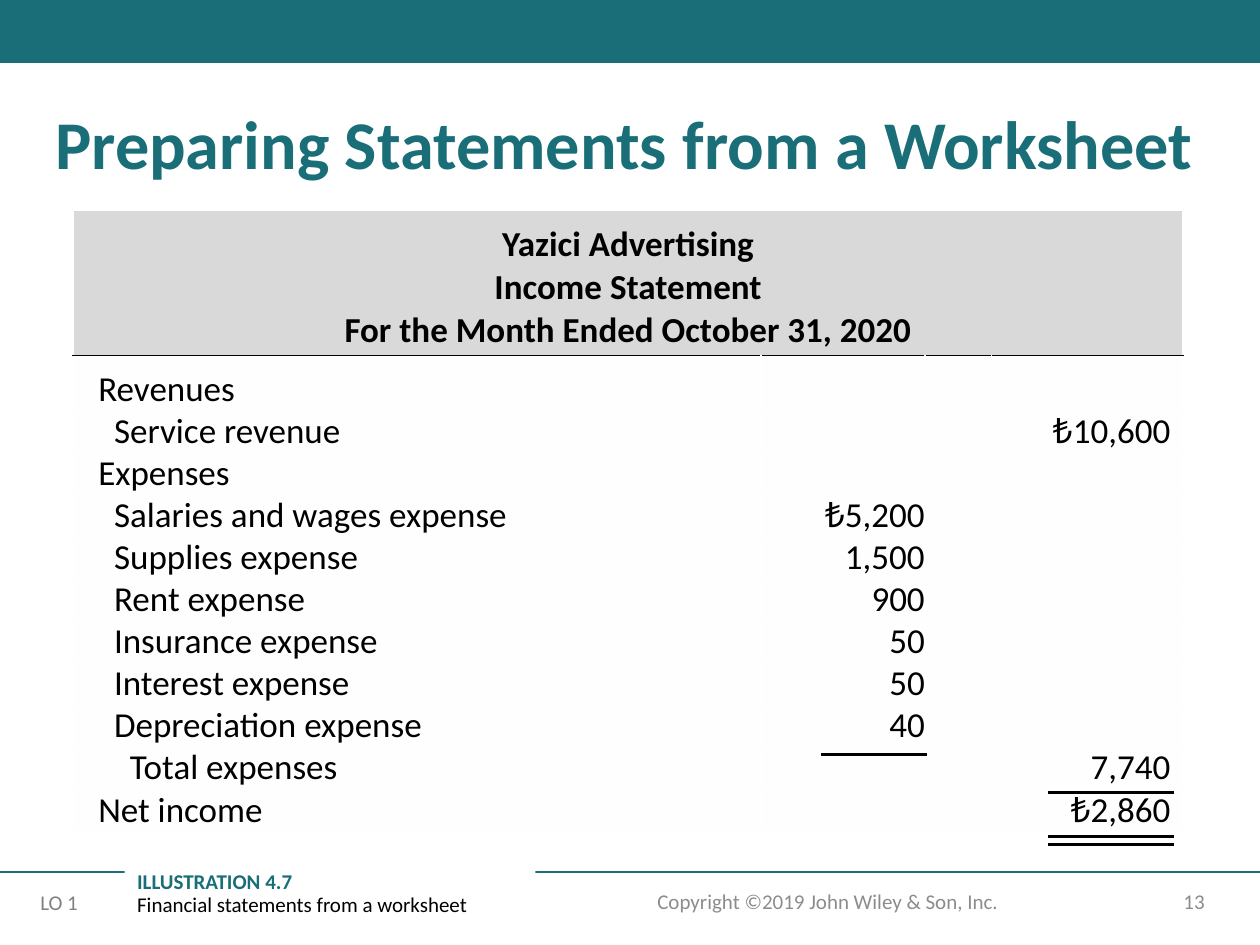
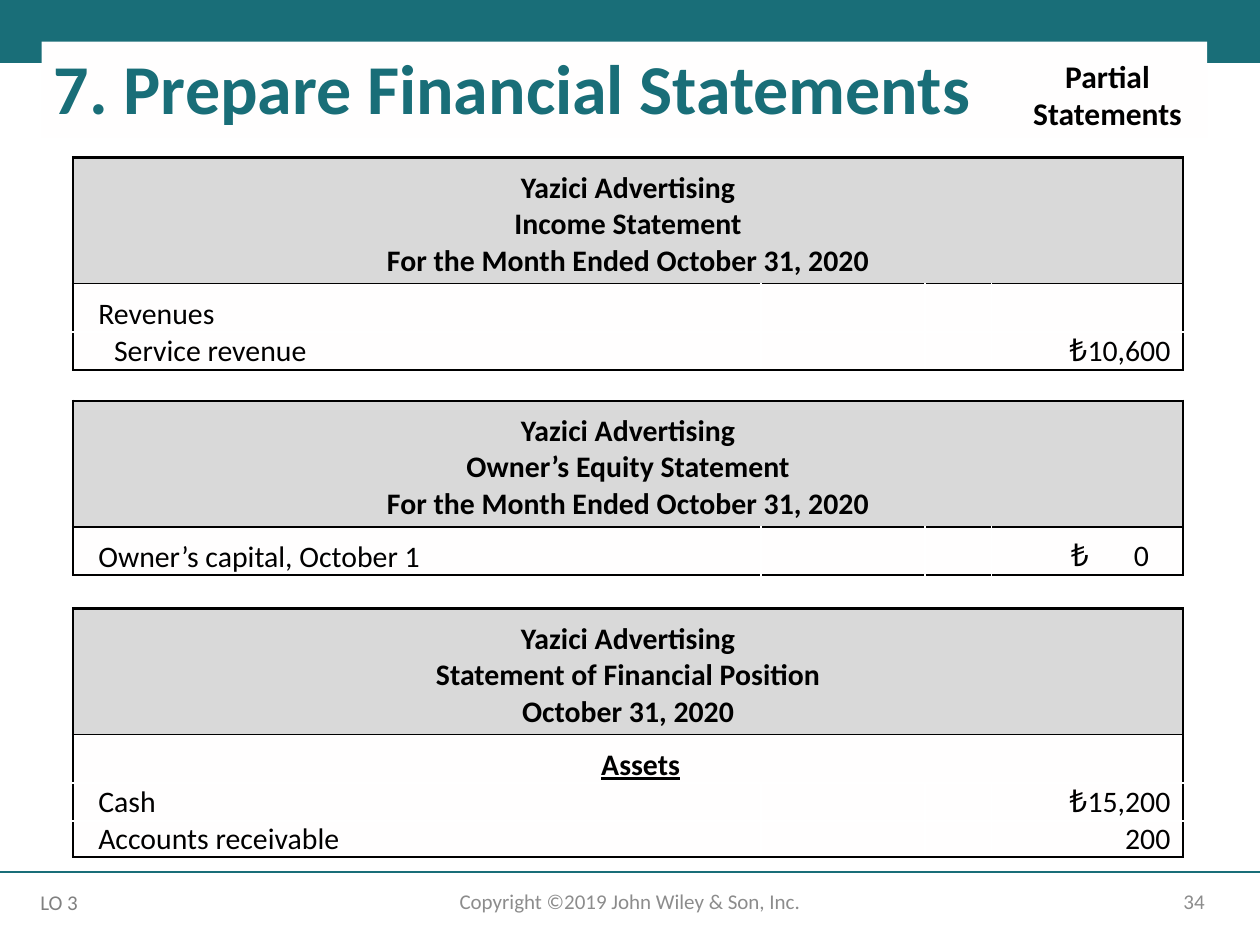
"""Build two slides of financial statements that share a band, a title style and a footer."""
from dataclasses import dataclass
from typing import Any

from lxml.etree import SubElement
from pptx import Presentation
from pptx.dml.color import RGBColor
from pptx.enum.shapes import MSO_CONNECTOR, MSO_SHAPE
from pptx.enum.text import MSO_ANCHOR, PP_ALIGN
from pptx.oxml.ns import qn
from pptx.util import Inches, Pt

FONT = "Calibri"
INK = {"teal": "196E78", "black": "000000", "white": "FFFFFF", "paper": "FFFEFE",
       "head": "D9D9D9", "foot": "8C8C8C", "goal": "808080"}
COLS = (5.46, 1.3, 0.53, 1.52)
LAST = len(COLS) - 1
LEFT, RIGHT, MID = PP_ALIGN.LEFT, PP_ALIGN.RIGHT, PP_ALIGN.CENTER
MONTH = "For the Month Ended October 31, 2020"


@dataclass
class Row:
    """One line of a statement."""
    label: str
    cost: str = ""
    total: str = ""
    step: int = 0
    group: bool = False


@dataclass
class Report:
    """A statement with its three-line head, its place and its look."""
    name: str
    date: str
    rows: list[Row]
    top: float
    height: float
    size: float = 17
    sign: float = 18
    boxed: bool = True


@dataclass
class Rule:
    """A horizontal total line."""
    left: float
    right: float
    top: float


INCOME = Report("Income Statement", MONTH, [
    Row("Revenues"),
    Row("Service revenue", total="₺10,600", step=1),
    Row("Expenses"),
    Row("Salaries and wages expense", "₺5,200", step=1),
    Row("Supplies expense", "1,500", step=1),
    Row("Rent expense", "900", step=1),
    Row("Insurance expense", "50", step=1),
    Row("Interest expense", "50", step=1),
    Row("Depreciation expense", "40", step=1),
    Row("Total expenses", total="7,740", step=2),
    Row("Net income", total="₺2,860"),
], 1.67, 4.96, size=20, sign=20, boxed=False)

PARTS = [
    Report("Income Statement", MONTH, [
        Row("Revenues"),
        Row("Service revenue", total="₺10,600", step=1),
    ], 1.25, 1.69),
    Report("Owner’s Equity Statement", MONTH, [
        Row("Owner’s capital, October 1", total="₺\t0"),
    ], 3.18, 1.38),
    Report("Statement of Financial Position", "October 31, 2020", [
        Row("Assets", group=True),
        Row("Cash", total="₺15,200"),
        Row("Accounts receivable", total="200"),
    ], 4.83, 1.98),
]

SUMS = [Rule(8.32, 9.32, 6.29), Rule(8.32, 9.32, 6.64),
        Rule(8.32, 9.32, 6.7), Rule(6.52, 7.36, 5.99)]


def tint(name: str) -> RGBColor:
    """Look up a named colour."""
    return RGBColor.from_string(INK[name])


def put(para: Any, text: str, size: float = 12, ink: str = "black", bold: bool = False,
        under: bool = False, align: Any = LEFT, indent: float = 0, tab: float = 0,
        space: float = 1, sign: float = 0) -> None:
    """Write formatted text into a paragraph."""
    props = para._p.get_or_add_pPr()
    props.set("marL", str(Inches(indent)))
    props.set("indent", "0")
    para.alignment = align
    para.line_spacing = space
    if tab:
        stops = SubElement(props, qn("a:tabLst"))
        SubElement(stops, qn("a:tab"), pos=str(Inches(tab)), algn="r")
    for part in filter(None, text.partition("₺")):
        run = para.add_run()
        run.text = part
        font = run.font
        font.name, font.bold, font.underline = FONT, bold, under
        font.size = Pt(sign if sign and part == "₺" else size)
        font.color.rgb = tint(ink)


def box(slide: Any, at: tuple, fill: str = "") -> Any:
    """Add a text box or a filled rectangle and return its text frame."""
    place = [Inches(n) for n in at]
    if fill:
        shape = slide.shapes.add_shape(MSO_SHAPE.RECTANGLE, *place)
        shape.shadow.inherit = False
        shape.fill.solid()
        shape.fill.fore_color.rgb = tint(fill)
        shape.line.fill.background()
    else:
        shape = slide.shapes.add_textbox(*place)
    frame = shape.text_frame
    frame.word_wrap = True
    frame.vertical_anchor = MSO_ANCHOR.TOP
    return frame


def rule(slide: Any, line: Rule, ink: str = "black", width: float = 1.5) -> None:
    """Draw a horizontal line."""
    top = Inches(line.top)
    link = slide.shapes.add_connector(
        MSO_CONNECTOR.STRAIGHT, Inches(line.left), top, Inches(line.right), top)
    link.line.color.rgb = tint(ink)
    link.line.width = Pt(width)
    SubElement(link._element.spPr, qn("a:effectLst"))


def edge(cell: Any, side: str, ink: str, width: float) -> None:
    """Add one border to a cell."""
    line = SubElement(cell._tc.get_or_add_tcPr(), qn(f"a:ln{side}"), w=str(Pt(width)))
    fill = SubElement(line, qn("a:solidFill"))
    SubElement(fill, qn("a:srgbClr"), val=INK[ink])


def style(cell: Any, row: int, col: int, end: int, report: Report) -> None:
    """Set the borders, fill, margins and empty text size of a cell."""
    wide = cell.is_merge_origin or cell.is_spanned
    outer = {"L": col == 0, "R": wide or col == LAST, "T": row == 0, "B": row == end}
    under = {"T": row == 1, "B": row == 0}
    for side, out in outer.items():
        if under.get(side):
            edge(cell, side, "black", 1)
        elif out and report.boxed:
            edge(cell, side, "black", 1.5)
        else:
            edge(cell, side, "white", 1)
    cell.fill.solid()
    cell.fill.fore_color.rgb = tint("paper" if row else "head")
    cell.vertical_anchor = MSO_ANCHOR.BOTTOM
    cell.margin_left = Inches(0.2 if row and col == 0 else 0)
    cell.margin_right = Inches(0.1 if row and col == LAST else 0)
    cell.margin_top = Inches(0.1 if row == 0 or (row == 1 and col == 0) else 0)
    cell.margin_bottom = Inches(0 if row else 0.05)
    blank = cell.text_frame.paragraphs[0]._p.get_or_add_endParaRPr()
    blank.set("sz", str(int(report.size * 100)))


def sheet(slide: Any, report: Report) -> None:
    """Draw a statement as a table."""
    count = len(report.rows) + 1
    shape = slide.shapes.add_table(count, len(COLS), Inches(0.58), Inches(report.top),
                                   Inches(sum(COLS)), Inches(report.height))
    grid = shape.table
    grid.first_row = grid.horz_banding = False
    for col, width in zip(grid.columns, COLS):
        col.width = Inches(width)
    for row in grid.rows:
        row.height = Inches(0.2)
    shape.height = Inches(report.height)
    wide = [0] + [n for n, row in enumerate(report.rows, 1) if row.group]
    for n in wide:
        grid.cell(n, 0).merge(grid.cell(n, LAST))
    for n in range(count):
        for col in range(len(COLS)):
            style(grid.cell(n, col), n, col, count - 1, report)

    size = report.size
    frame = grid.cell(0, 0).text_frame
    for n, text in enumerate(("Yazici Advertising", report.name, report.date)):
        para = frame.add_paragraph() if n else frame.paragraphs[0]
        put(para, text, size=size, bold=True, align=MID)
    for n, row in enumerate(report.rows, 1):
        cells = [grid.cell(n, col) for col in range(len(COLS))]
        first, cost, _, total = [cell.text_frame.paragraphs[0] for cell in cells]
        put(first, row.label, size=size, bold=row.group, under=row.group,
            align=MID if row.group else LEFT, indent=0.125 * row.step)
        if row.cost:
            put(cost, row.cost, size=size, align=RIGHT)
        if "\t" in row.total:
            cells[LAST].margin_left = Inches(0.63)
            put(total, row.total, size=size, sign=report.sign, tab=0.78)
        elif row.total:
            put(total, row.total, size=size, sign=report.sign, align=RIGHT)


def base(deck: Any, goal: str, page: str, left: float) -> Any:
    """Add a slide with the shared band, footer line and footer text."""
    slide = deck.slides.add_slide(deck.slide_layouts[6])
    box(slide, (0, 0, 10, 0.5), "teal")
    rule(slide, Rule(0, 10, 6.92), "teal", 1)
    notes = [(page, (7.06, 6.95, 2.6, 0.4), RIGHT),
             ("Copyright ©2019 John Wiley & Son, Inc.", (left, 6.95, 3.38, 0.4), MID)]
    for text, at, align in notes:
        frame = box(slide, at)
        frame.vertical_anchor = MSO_ANCHOR.MIDDLE
        put(frame.paragraphs[0], text, ink="foot", align=align)
    frame = box(slide, (0.25, 7.01, 0.53, 0.3))
    frame.margin_left = frame.margin_right = 0
    put(frame.paragraphs[0], goal, ink="goal", indent=0.07)
    return slide


def title(slide: Any, text: str, at: tuple, size: float, fill: str = "") -> Any:
    """Add a slide title and return its text frame."""
    frame = box(slide, at, fill)
    put(frame.paragraphs[0], text, size=size, ink="teal", bold=True, space=0.9)
    return frame


def main() -> None:
    """Build and save the deck."""
    deck = Presentation()
    deck.slide_width, deck.slide_height = Inches(10), Inches(7.5)

    slide = base(deck, "LO 1", "13", 4.88)
    sheet(slide, INCOME)
    frame = box(slide, (0.99, 6.87, 3.26, 0.46), "white")
    put(frame.paragraphs[0], "ILLUSTRATION 4.7", ink="teal", bold=True, space=0.9)
    put(frame.add_paragraph(), "Financial statements from a worksheet", space=0.9)
    for line in SUMS:
        rule(slide, line)
    title(slide, "Preparing Statements from a Worksheet", (0.34, 0.83, 9.58, 0.71), 39)

    slide = base(deck, "LO 3", "34", 3.31)
    frame = title(slide, "7. Prepare Financial Statements", (0.33, 0.33, 9.25, 0.76), 40, "paper")
    frame.margin_top = Inches(0.1)
    for report in PARTS:
        sheet(slide, report)
    frame = box(slide, (8.08, 0.4, 1.42, 0.71))
    put(frame.paragraphs[0], "Partial Statements", size=18, bold=True, align=MID)

    deck.save("out.pptx")


if __name__ == "__main__":
    main()
